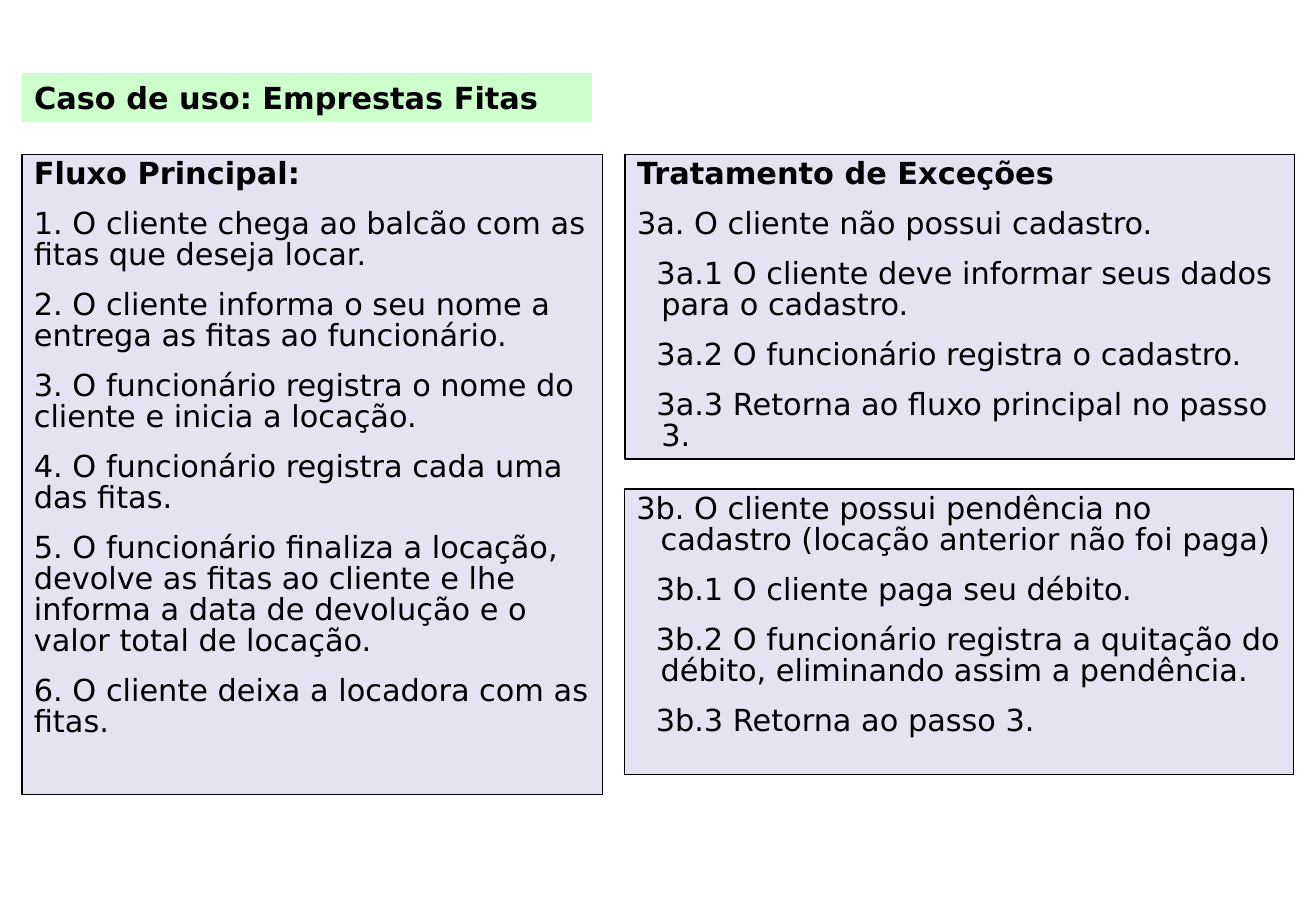
"""Build the slide that describes the use case of lending tapes."""
from pptx import Presentation
from pptx.dml.color import RGBColor
from pptx.enum.shapes import MSO_SHAPE
from pptx.enum.text import MSO_ANCHOR, MSO_AUTO_SIZE, PP_ALIGN
from pptx.util import Pt

THEME = {
    "font": "DejaVu Sans",
    "size": Pt(18),
    "ink": RGBColor(0x00, 0x00, 0x00),
    "title_fill": RGBColor(0xCC, 0xFF, 0xCC),
    "panel_fill": RGBColor(0xE3, 0xE3, 0xF1),
    "border": Pt(0.75),
}
FRAME = {
    "word_wrap": True,
    "auto_size": MSO_AUTO_SIZE.NONE,
    "vertical_anchor": MSO_ANCHOR.TOP,
    "margin_left": Pt(7.2),
    "margin_right": Pt(7.2),
    "margin_top": Pt(3.6),
    "margin_bottom": Pt(3.6),
}
HEADING, PLAIN, HANGING, STEP = "heading", "plain", "hanging", "step"
INDENTS = {HEADING: (0, 0), PLAIN: (0, 0), HANGING: (14.4, -14.4), STEP: (14.4, -2.9)}

PANELS = [
    ((13, 91.4, 344.2, 379.5), [
        (HEADING, "Fluxo Principal:"),
        (PLAIN, "1. O cliente chega ao balcão com as fitas que deseja locar."),
        (PLAIN, "2. O cliente informa o seu nome a entrega as fitas ao funcionário."),
        (PLAIN, "3. O funcionário registra o nome do cliente e inicia a locação."),
        (PLAIN, "4. O funcionário registra cada uma das fitas."),
        (PLAIN, "5. O funcionário finaliza a locação, devolve as fitas ao cliente "
                "e lhe informa a data de devolução e o valor total de locação."),
        (PLAIN, "6. O cliente deixa a locadora com as fitas."),
    ]),
    ((370.5, 91.4, 396.7, 180.7), [
        (HEADING, "Tratamento de Exceções"),
        (HANGING, "3a. O cliente não possui cadastro."),
        (STEP, "3a.1 O cliente deve informar seus dados para o cadastro."),
        (STEP, "3a.2 O funcionário registra o cadastro."),
        (STEP, "3a.3 Retorna ao fluxo principal no passo 3."),
    ]),
    ((370.1, 289.9, 396.7, 169.2), [
        (HANGING, "3b. O cliente possui pendência no cadastro "
                  "(locação anterior não foi paga)"),
        (STEP, "3b.1 O cliente paga seu débito."),
        (STEP, "3b.2 O funcionário registra a quitação do débito, "
               "eliminando assim a pendência."),
        (STEP, "3b.3 Retorna ao passo 3."),
    ]),
]


def apply_format(target, values):
    """Set every named attribute on the target."""
    for name, value in values.items():
        setattr(target, name, value)


def write_box(box, fill, lines, line_spacing):
    """Fill a box with colour and with its styled paragraphs."""
    box.fill.solid()
    box.fill.fore_color.rgb = fill
    frame = box.text_frame
    apply_format(frame, FRAME)
    for index, (style, text) in enumerate(lines):
        para = frame.paragraphs[0] if index == 0 else frame.add_paragraph()
        apply_format(para, {
            "alignment": PP_ALIGN.LEFT,
            "line_spacing": line_spacing,
            "space_before": Pt(11.2 if index else 0),
        })
        left, first = INDENTS[style]
        properties = para._p.get_or_add_pPr()
        properties.set("marL", str(Pt(left)))
        properties.set("indent", str(Pt(first)))
        span = para.add_run()
        span.text = text
        apply_format(span.font, {
            "name": THEME["font"],
            "size": THEME["size"],
            "bold": style == HEADING,
        })
        span.font.color.rgb = THEME["ink"]


deck = Presentation()
apply_format(deck, {"slide_width": Pt(780), "slide_height": Pt(540)})
page = deck.slides.add_slide(deck.slide_layouts[5])

title = page.shapes.title
apply_format(title, {"left": Pt(13), "top": Pt(43.4), "width": Pt(337.9), "height": Pt(29)})
write_box(title, THEME["title_fill"], [(HEADING, "Caso de uso: Emprestas Fitas")], 1.0)

for bounds, lines in PANELS:
    panel = page.shapes.add_shape(MSO_SHAPE.RECTANGLE, *map(Pt, bounds))
    panel.shadow.inherit = False
    panel.line.color.rgb = THEME["ink"]
    panel.line.width = THEME["border"]
    write_box(panel, THEME["panel_fill"], lines, 0.85)

deck.save("out.pptx")
